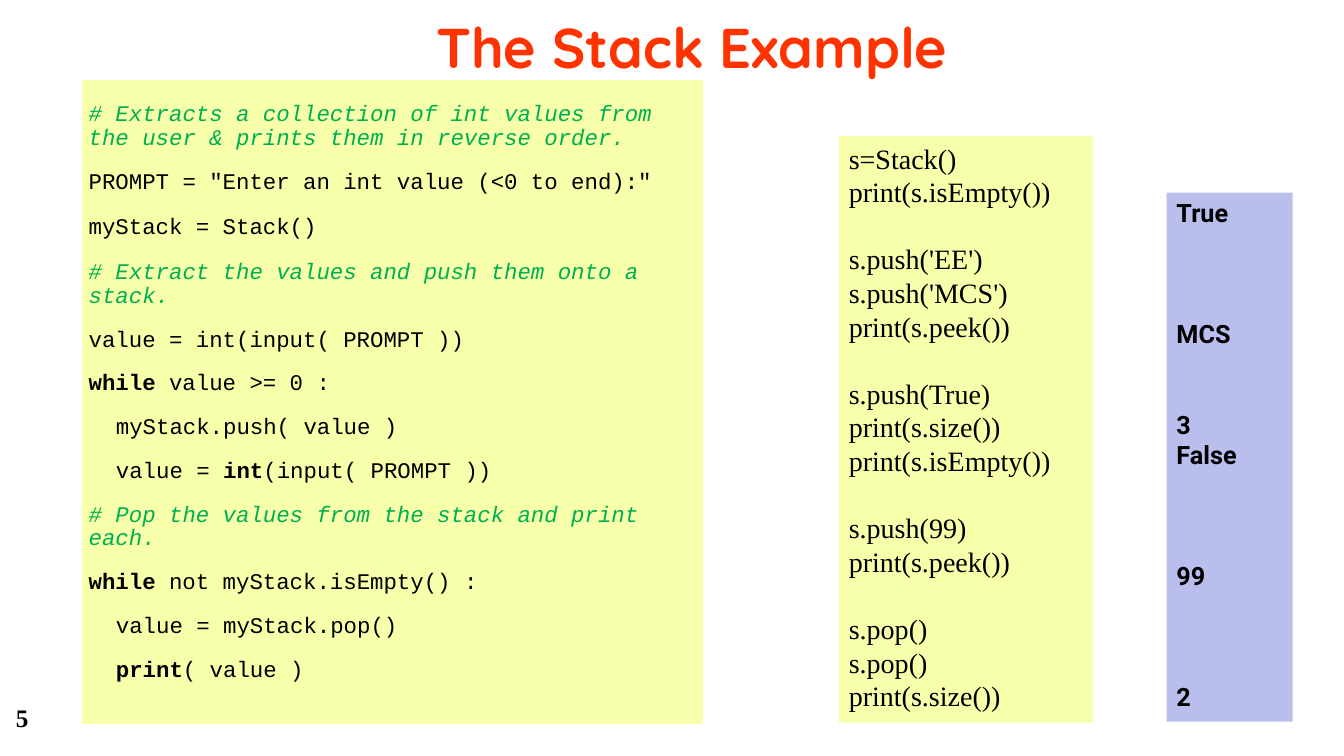
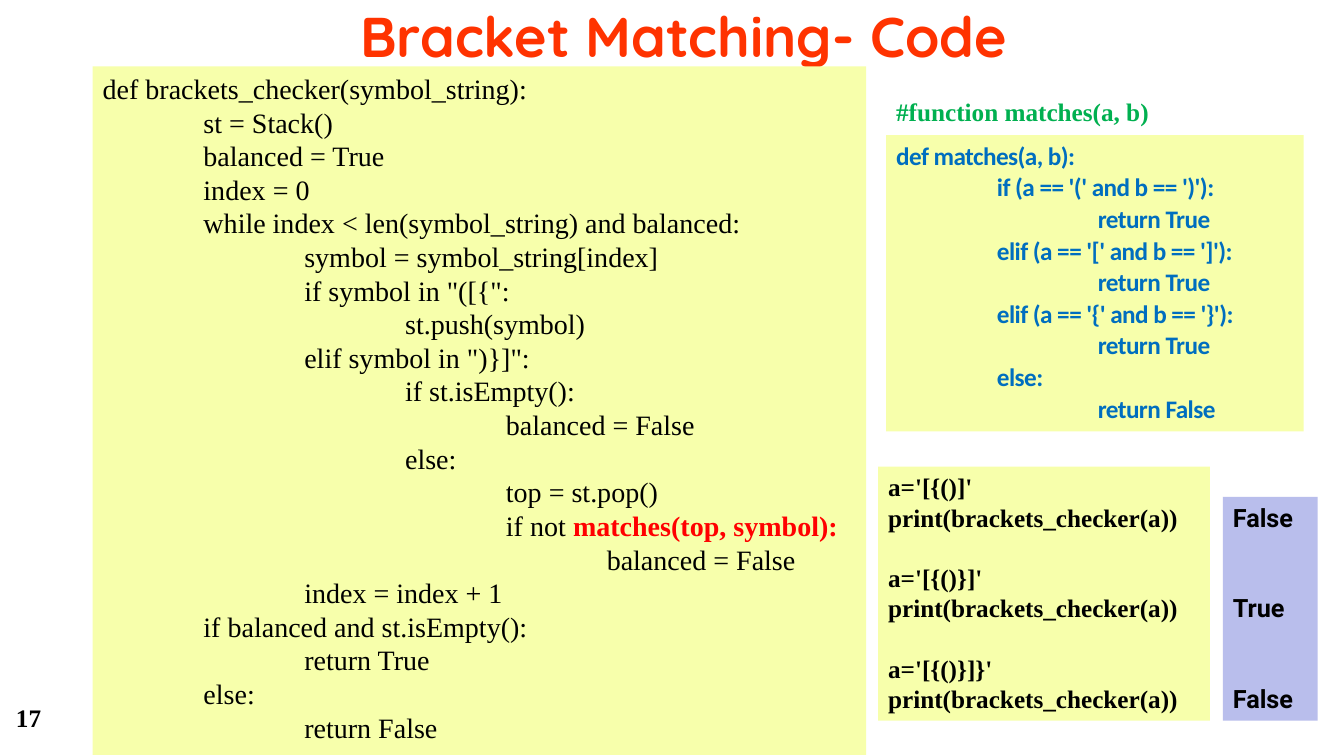
from pptx import Presentation
from pptx import util as u
from pptx.dml.color import RGBColor
from pptx.enum import shapes, text

# Colours
WHITE = RGBColor(0xFF, 0xFF, 0xFF)
BLACK = RGBColor(0x00, 0x00, 0x00)
ORANGE = RGBColor(0xFF, 0x33, 0x00)
GREEN = RGBColor(0x00, 0xB0, 0x50)
BLUE = RGBColor(0x00, 0x6E, 0xBF)
RED = RGBColor(0xFF, 0x00, 0x00)
CODE_FILL = RGBColor(0xF7, 0xFF, 0xAB)
OUTPUT_FILL = RGBColor(0xB9, 0xBE, 0xEC)

# Text formats
TITLE = dict(name="Quicksand", size=u.Pt(40), bold=True, color=ORANGE)
MONO = dict(name="Courier New", size=u.Pt(16), color=BLACK)
SERIF = dict(name="Times New Roman", size=u.Pt(20), color=BLACK)
SERIF_BOLD = dict(SERIF, size=u.Pt(18), bold=True)
OUTPUT = dict(SERIF_BOLD, name="Roboto")
HELPER = dict(name="Calibri", size=u.Pt(18), bold=True, color=BLUE, spacing=-40)
LABEL = dict(SERIF_BOLD, color=GREEN)
BOLD = dict(bold=True)
COMMENT = dict(italic=True, color=GREEN)
ALERT = dict(bold=True, color=RED)


def px(n):
    """100 px to the inch."""
    return u.Emu(n * 9144)


class Deck:
    LINE = 1.2  # line pitch in multiples of the text size

    def __init__(self):
        self.prs = Presentation()
        self.prs.slide_width, self.prs.slide_height = px(1333), px(750)
        self.s = None

    def slide(self, title, box, number):
        self.s = self.prs.slides.add_slide(self.prs.slide_layouts[5])
        background = self.s.background.fill
        background.solid()
        background.fore_color.rgb = WHITE
        sp = self.s.shapes.title
        sp.left, sp.top, sp.width, sp.height = map(px, box)
        tf = sp.text_frame
        frame = dict(margin_left=0, margin_top=px(1), margin_right=0, margin_bottom=0,
                     vertical_anchor=text.MSO_ANCHOR.MIDDLE, word_wrap=True,
                     auto_size=text.MSO_AUTO_SIZE.NONE)
        for name, value in frame.items():
            setattr(tf, name, value)
        p = tf.paragraphs[0]
        p.alignment = text.PP_ALIGN.CENTER
        self.run(p, title, TITLE)
        self.label(str(number), (6, 692, 278, 50), SERIF_BOLD)

    def run(self, p, words, fmt):
        r = p.add_run()
        r.text = words
        for name, value in fmt.items():
            if name == "color":
                r.font.color.rgb = value
            elif name == "spacing":
                r.font._element.set("spc", str(value))
            else:
                setattr(r.font, name, value)

    def lines(self, tf, rows, fmt, tab=100, pitch=None, before=0, after=0):
        """Leading tabs become indents; empty rows become space before the next."""
        pitch = pitch or u.Pt(fmt["size"].pt * self.LINE)
        gap, p = 0, None
        for row in rows:
            if not row:
                gap += 1
                continue
            p = tf.add_paragraph() if p else tf.paragraphs[0]
            runs = [(r, {}) if isinstance(r, str) else r
                    for r in (row if isinstance(row, list) else [row])]
            first = runs[0][0]
            level = len(first) - len(first.lstrip("\t"))
            pPr = p._p.get_or_add_pPr()
            pPr.set("marL", str(px(level * tab)))
            pPr.set("indent", "0")
            layout = dict(alignment=text.PP_ALIGN.LEFT, line_spacing=pitch,
                          space_before=u.Pt(before) + gap * pitch if gap else u.Pt(before),
                          space_after=u.Pt(after))
            for name, value in layout.items():
                setattr(p, name, value)
            for words, extra in runs:
                self.run(p, words.lstrip("\t"), {**fmt, **extra})
            gap = 0

    def label(self, words, box, fmt, wrap=True):
        tf = self.s.shapes.add_textbox(*map(px, box)).text_frame
        tf.word_wrap = wrap
        self.lines(tf, [words], fmt)

    def panel(self, rows, box, fmt, fill=CODE_FILL, before=0):
        sp = self.s.shapes.add_shape(shapes.MSO_SHAPE.RECTANGLE, *map(px, box))
        sp.shadow.inherit = False
        sp.fill.solid()
        sp.fill.fore_color.rgb = fill
        sp.line.fill.background()
        tf = sp.text_frame
        tf.word_wrap, tf.vertical_anchor = True, text.MSO_ANCHOR.TOP
        self.lines(tf, rows, fmt, before=before)

    def table(self, rows, box, fmt, loose):
        """One-cell listing; the rows in loose keep full line spacing."""
        tbl = self.s.shapes.add_table(1, 1, *map(px, box)).table
        tbl.first_row = tbl.horz_banding = False
        cell = tbl.cell(0, 0)
        cell.fill.solid()
        cell.fill.fore_color.rgb = CODE_FILL
        margins = dict(margin_left=7, margin_top=23, margin_right=7, margin_bottom=21)
        for name, value in margins.items():
            setattr(cell, name, px(value))
        tf = cell.text_frame
        self.lines(tf, rows, fmt, tab=27, pitch=0.94, after=14.2)
        for i in loose:
            tf.paragraphs[i].line_spacing = 1.0


def stack_example(deck):
    deck.slide("The Stack Example", (287, 11, 798, 69), 5)

    # Program listing
    deck.table([
        [("# Extracts a collection of int values from the user & prints them in reverse order.",
          COMMENT)],
        'PROMPT = "Enter an int value (<0 to end):"',
        "myStack = Stack()",
        [("# Extract the values and push them onto a stack.", COMMENT)],
        "value = int(input( PROMPT ))",
        [("while", BOLD), " value >= 0 :"],
        "\tmyStack.push( value )",
        ["\tvalue = ", ("int", BOLD), "(input( PROMPT ))"],
        [("# Pop the values from the stack and print each.", COMMENT)],
        [("while", BOLD), " not myStack.isEmpty() :"],
        "\tvalue = myStack.pop()",
        [("\tprint", BOLD), "( value )"],
    ], (81, 79, 617, 637), MONO, loose=(1, 2))

    # Calls and their output
    deck.panel([
        "s=Stack()", "print(s.isEmpty())", "",
        "s.push('EE')", "s.push('MCS')", "print(s.peek())", "",
        "s.push(True)", "print(s.size())", "print(s.isEmpty())", "",
        "s.push(99)", "print(s.peek())", "",
        "s.pop()", "s.pop()", "print(s.size())",
    ], (832, 135, 252, 582), SERIF)
    deck.panel(["True", "", "", "", "MCS", "", "", "3", "False", "", "", "",
                "99", "", "", "", "2"],
               (1157, 191, 125, 525), OUTPUT, OUTPUT_FILL)


def bracket_matching(deck):
    deck.slide("Bracket Matching- Code", (190, 0, 976, 69), 17)

    # Checker function
    deck.panel([
        "def brackets_checker(symbol_string):",
        "\tst = Stack()",
        "\tbalanced = True",
        "\tindex = 0",
        "\twhile index < len(symbol_string) and balanced:",
        "\t\tsymbol = symbol_string[index]",
        '\t\tif symbol in "([{":',
        "\t\t\tst.push(symbol)",
        '\t\telif symbol in ")}]":',
        "\t\t\tif st.isEmpty():",
        "\t\t\t\tbalanced = False",
        "\t\t\telse:",
        "\t\t\t\ttop = st.pop()",
        ["\t\t\t\tif not ", ("matches(top, symbol):", ALERT)],
        "\t\t\t\t\tbalanced = False",
        "\t\tindex = index + 1",
        "\tif balanced and st.isEmpty():",
        "\t\treturn True",
        "\telse:",
        "\t\treturn False",
    ], (92, 66, 767, 683), SERIF)

    # Helper function
    deck.label("#function matches(a, b)", (879, 91, 273, 40), LABEL, wrap=False)
    helper = ["def matches(a, b):"]
    for keyword, pair in (("if", "()"), ("elif", "[]"), ("elif", "{}")):
        helper += [f"\t{keyword} (a == '{pair[0]}' and b == '{pair[1]}'):", "\t\treturn True"]
    helper += ["\telse:", "\t\treturn False"]
    deck.panel(helper, (879, 134, 414, 294), HELPER, before=1)

    # Trial calls and their output
    call = "print(brackets_checker(a))"
    deck.panel(["a='[{()]'", call, "", "a='[{()}]'", call, "", "a='[{()}]}'", call],
               (871, 463, 329, 252), SERIF_BOLD)
    deck.panel(["False", "", "", "True", "", "", "False"],
               (1213, 493, 94, 222), OUTPUT, OUTPUT_FILL)


def main():
    deck = Deck()
    stack_example(deck)
    bracket_matching(deck)
    deck.prs.save("out.pptx")


if __name__ == "__main__":
    main()
